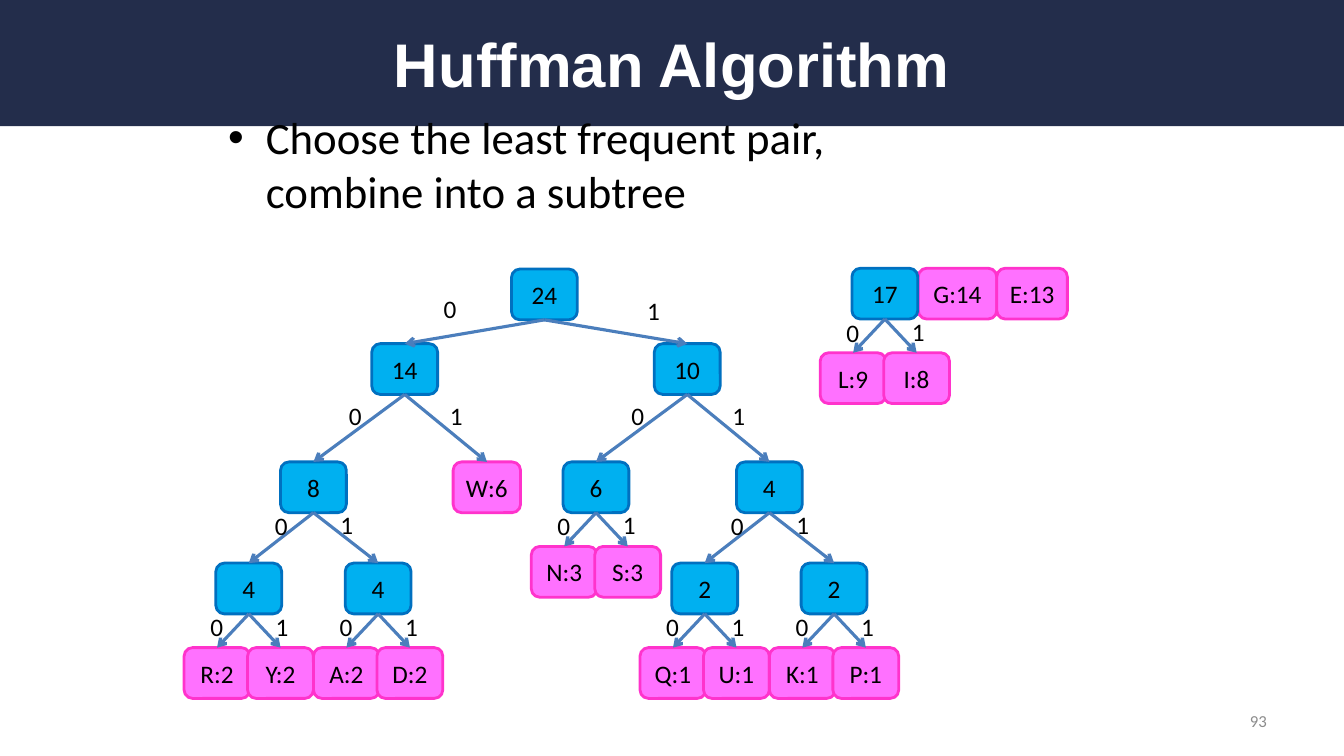
from lxml import etree
from pptx import Presentation
from pptx import util as u
from pptx.dml.color import RGBColor
from pptx.enum import shapes, text
from pptx.oxml import ns

Cm, Pt = u.Cm, u.Pt
COLORS = {
    "band": "232D4B", "white": "FFFFFF", "ink": "000000", "number": "8C8C8C",
    "leaf": "FF71FF", "leaf_edge": "FF33CC",
    "inner": "00B0F0", "inner_edge": "0070C0", "arrow": "4B7EBC",
}
NODE_W, NODE_H = 1.66, 1.28
LEAF_WIDTHS = {"G:14": 1.98, "E:13": 1.78, "W:6": 1.7}

# Each split gives child offsets from the parent's centre, the drop below it,
# and the (left, top) offsets of the 0 and 1 labels from its bottom centre.
CLOSE_LABELS = ((-1.22, -0.18), (0.43, -0.2))
SPLITS = {
    "pair": ((-0.8, 0.8), 0.85, CLOSE_LABELS),
    "middle": ((-1.63, 1.63), 1.27, CLOSE_LABELS),
    "branch": ((-2.3, 2.07), 1.7, ((-1.66, 0.02), (0.89, 0.02))),
    "root": ((-3.52, 3.6), 0.6, ((-2.79, -0.79), (2.34, -0.74))),
}
# An inner node is (weight, split, left child, right child); a leaf is a string.
MAIN_TREE = (
    "24", "root",
    ("14", "branch",
     ("8", "middle",
      ("4", "pair", "R:2", "Y:2"),
      ("4", "pair", "A:2", "D:2")),
     "W:6"),
    ("10", "branch",
     ("6", "pair", "N:3", "S:3"),
     ("4", "middle",
      ("2", "pair", "Q:1", "U:1"),
      ("2", "pair", "K:1", "P:1"))),
)
SMALL_TREE = ("17", "pair", "L:9", "I:8")


def rgb(name):
    return RGBColor.from_string(COLORS[name])


def write(sp, words, size, color="ink", font="Calibri", bold=False,
          align=text.PP_ALIGN.LEFT, **frame):
    """Put one paragraph in a shape and return it."""
    tf = sp.text_frame
    for name, value in frame.items():
        setattr(tf, name, value)
    p = tf.paragraphs[0]
    p.alignment = align
    r = p.add_run()
    r.text = words
    for name, value in {"size": Pt(size), "name": font, "bold": bold}.items():
        setattr(r.font, name, value)
    r.font.color.rgb = rgb(color)
    return p


def add_box(parts, kind, left, top, width, height, fill, edge=None):
    sp = parts.add_shape(kind, Cm(left), Cm(top), Cm(width), Cm(height))
    sp.shadow.inherit = False
    sp.fill.solid()
    sp.fill.fore_color.rgb = rgb(fill)
    if edge:
        sp.line.color.rgb = rgb(edge)
        sp.line.width = Pt(2)
    else:
        sp.line.fill.background()
    return sp


def add_text(parts, left, top, width, height, words, size, **style):
    sp = parts.add_textbox(Cm(left), Cm(top), Cm(width), Cm(height))
    return write(sp, words, size, **style)


def add_node(parts, center, top, label, kind):
    width = LEAF_WIDTHS.get(label, NODE_W)
    sp = add_box(parts, shapes.MSO_SHAPE.ROUNDED_RECTANGLE, center - width / 2,
                 top, width, NODE_H, kind, kind + "_edge")
    write(sp, label, 18, align=text.PP_ALIGN.CENTER, word_wrap=False,
          vertical_anchor=text.MSO_ANCHOR.MIDDLE, margin_left=0, margin_right=0)
    return sp


def add_arrow(parts, parent, child):
    """Join a parent's bottom edge to a child's top edge."""
    line = parts.add_connector(shapes.MSO_CONNECTOR.STRAIGHT, 0, 0, 0, 0)
    line.begin_connect(parent, 2)
    line.end_connect(child, 0)
    line.line.color.rgb = rgb("arrow")
    line.line.width = Pt(2.25)
    etree.SubElement(line.line._get_or_add_ln(), ns.qn("a:tailEnd"), type="arrow")
    etree.SubElement(line._element.spPr, ns.qn("a:effectLst"))


def add_tree(parts, center, top, node):
    """Draw a subtree from its leaves up and return its top box."""
    if isinstance(node, str):
        return add_node(parts, center, top, node, "leaf")
    weight, split, *children = node
    offsets, drop, labels = SPLITS[split]
    bottom = top + NODE_H
    boxes = [add_tree(parts, center + dx, bottom + drop, child)
             for dx, child in zip(offsets, children)]
    parent = add_node(parts, center, top, weight, "inner")
    for bit, (box, (dx, dy)) in enumerate(zip(boxes, labels)):
        add_arrow(parts, parent, box)
        add_text(parts, center + dx, bottom + dy, 0.84, 1.03, str(bit), 18,
                 word_wrap=False, auto_size=text.MSO_AUTO_SIZE.SHAPE_TO_FIT_TEXT)
    return parent


def add_header(parts, width, height):
    add_box(parts, shapes.MSO_SHAPE.RECTANGLE, 0, 0, width, height, "band")
    add_text(parts, 1.7, 0.42, width - 3.4, 2.33, "Huffman Algorithm", 44,
             color="white", font="Arial", bold=True, align=text.PP_ALIGN.CENTER,
             word_wrap=True, vertical_anchor=text.MSO_ANCHOR.MIDDLE)


def add_instruction(parts, left, top, width, height):
    p = add_text(parts, left, top, width, height,
                 "Choose the least frequent pair, combine into a subtree", 32,
                 word_wrap=True, vertical_anchor=text.MSO_ANCHOR.MIDDLE)
    p.space_before = Pt(6.4)
    pPr = p._p.get_or_add_pPr()
    indent = int(Cm(0.95))
    pPr.set("marL", str(indent))
    pPr.set("indent", str(-indent))
    etree.SubElement(pPr, ns.qn("a:buFont"), typeface="Arial")
    etree.SubElement(pPr, ns.qn("a:buChar"), char="•")


def add_waiting_leaves(parts, left, top, labels):
    for label in labels:
        width = LEAF_WIDTHS[label]
        add_node(parts, left + width / 2, top, label, "leaf")
        left += width


def main():
    prs = Presentation()
    prs.slide_width, prs.slide_height = Cm(33.87), Cm(19.05)
    s = prs.slides.add_slide(prs.slide_layouts[6])
    add_header(s.shapes, 33.87, 3.18)
    add_instruction(s.shapes, 5.5, 2.54, 18.8, 3.18)
    add_text(s.shapes, 24.28, 17.65, 7.9, 1.02, "93", 12, color="number",
             align=text.PP_ALIGN.RIGHT, word_wrap=True,
             vertical_anchor=text.MSO_ANCHOR.MIDDLE)
    add_waiting_leaves(s.shapes, 23.14, 6.76, ("G:14", "E:13"))
    add_tree(s.shapes.add_group_shape().shapes, 22.3, 6.76, SMALL_TREE)
    add_tree(s.shapes.add_group_shape().shapes, 13.72, 6.78, MAIN_TREE)
    prs.save("out.pptx")


if __name__ == "__main__":
    main()
